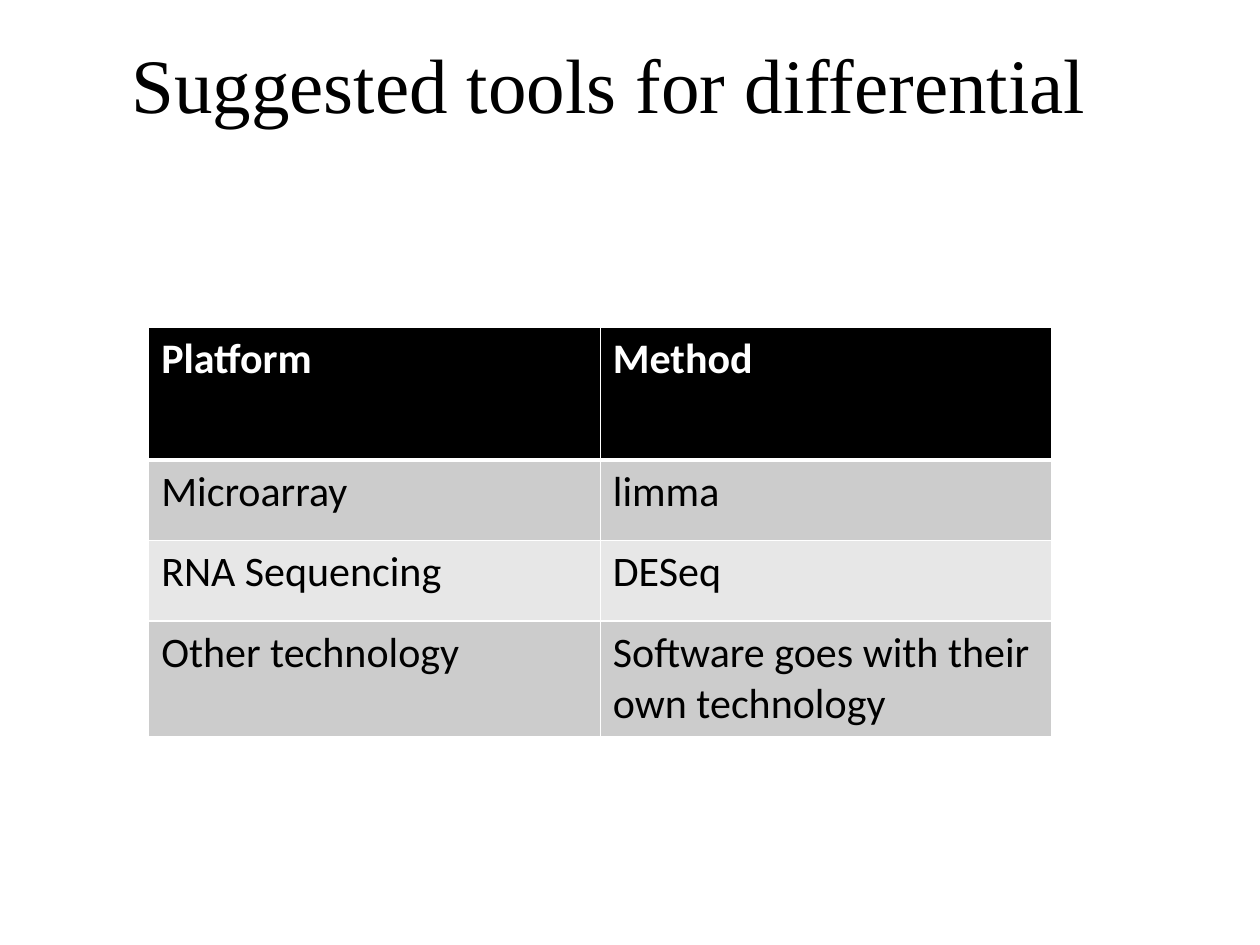
from lxml.etree import SubElement
from pptx import Presentation
from pptx.dml.color import RGBColor
from pptx.enum.text import MSO_ANCHOR, PP_ALIGN
from pptx.oxml.ns import qn
from pptx.util import Inches, Pt

BLACK, WHITE = "000000", "FFFFFF"
BANDS = ("CCCCCC", "E7E7E7")
ROWS = [
    ("Platform", "Method"),
    ("Microarray", "limma"),
    ("RNA Sequencing", "DESeq"),
    ("Other technology", "Software goes with their own technology"),
]
HEADER_HEIGHT, BODY_HEIGHT = 1.05, 0.64


def rgb(value):
    return RGBColor.from_string(value)


def style_font(font, color, **values):
    font.color.rgb = rgb(color)
    for name, value in values.items():
        setattr(font, name, value)


def set_borders(cell, bottom):
    """Draw white cell edges, 1 pt wide except for the bottom one."""
    tc_pr = cell._tc.get_or_add_tcPr()
    for side, width in {"L": 1, "R": 1, "T": 1, "B": bottom}.items():
        ln = SubElement(tc_pr, qn(f"a:ln{side}"), w=str(Pt(width)))
        fill = SubElement(ln, qn("a:solidFill"))
        SubElement(fill, qn("a:srgbClr"), val=WHITE)


def add_title(s, text, left, top, width, height):
    sp = s.shapes.title
    box = {"left": left, "top": top, "width": width, "height": height}
    for name, value in box.items():
        setattr(sp, name, Inches(value))
    tf = sp.text_frame
    tf.text = text
    tf.word_wrap = True
    tf.vertical_anchor = MSO_ANCHOR.MIDDLE
    p = tf.paragraphs[0]
    p.alignment = PP_ALIGN.CENTER
    style_font(p.runs[0].font, BLACK, name="Times New Roman", size=Pt(44))


def add_tools_table(s, rows, left, top, width):
    heights = [HEADER_HEIGHT] + [BODY_HEIGHT] * (len(rows) - 1)
    box = map(Inches, (left, top, width, sum(heights)))
    table = s.shapes.add_table(len(rows), len(rows[0]), *box).table
    for i, texts in enumerate(rows):
        header = i == 0
        table.rows[i].height = Inches(heights[i])
        for j, text in enumerate(texts):
            cell = table.cell(i, j)
            cell.text = text
            set_borders(cell, bottom=3 if header else 1)
            cell.fill.solid()
            cell.fill.fore_color.rgb = rgb(BLACK if header else BANDS[(i - 1) % 2])
            font = cell.text_frame.paragraphs[0].runs[0].font
            style_font(font, WHITE if header else BLACK,
                       name="Calibri", size=Pt(24), bold=header)


def main():
    prs = Presentation()
    prs.slide_width, prs.slide_height = Inches(10), Inches(7.5)
    s = prs.slides.add_slide(prs.slide_layouts[5])
    add_title(s, "Suggested tools for differential ", 0.41, 0.23, 9, 0.85)
    add_tools_table(s, ROWS, 1.18, 2.6, 7.17)
    prs.save("out.pptx")


if __name__ == "__main__":
    main()
